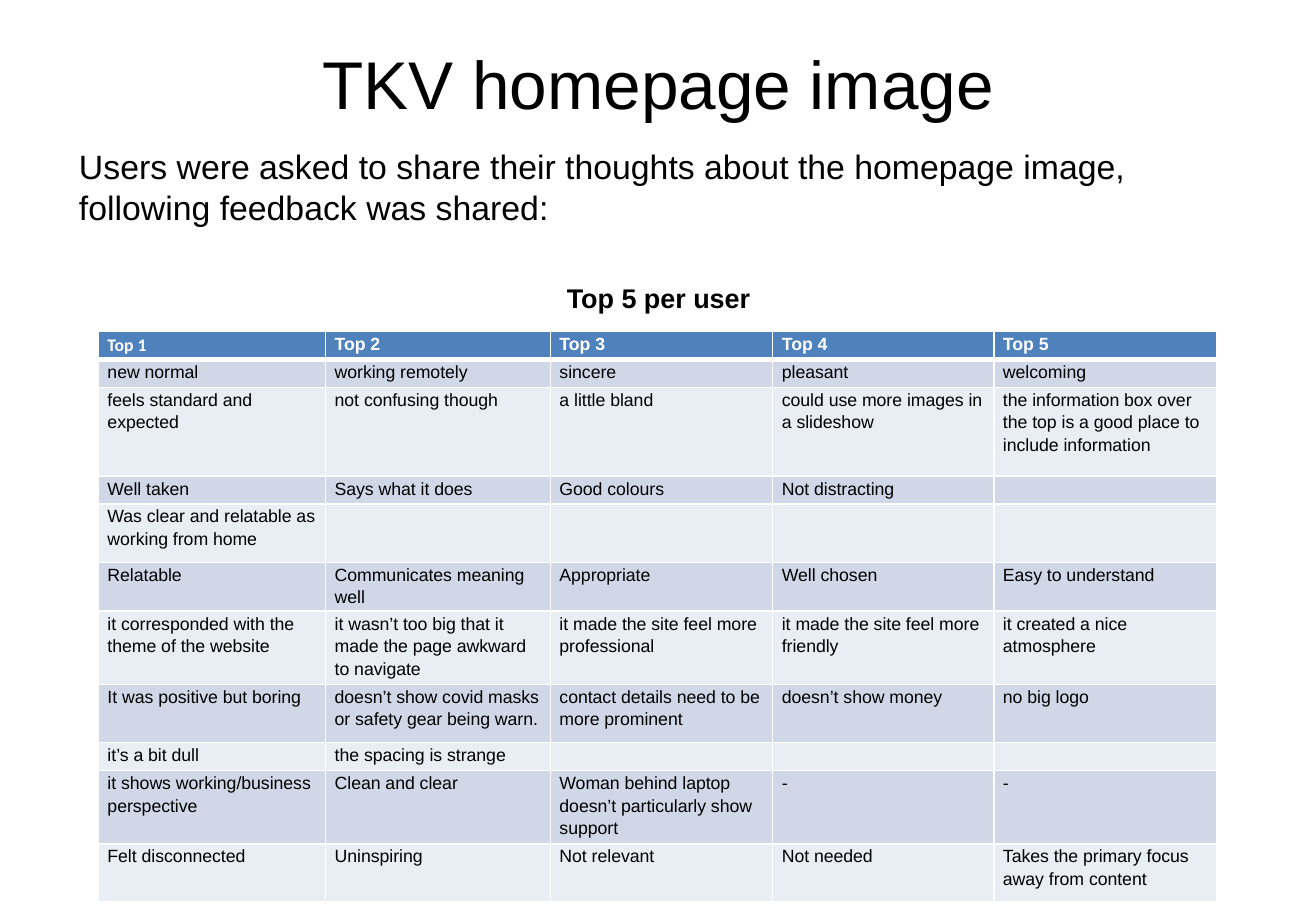
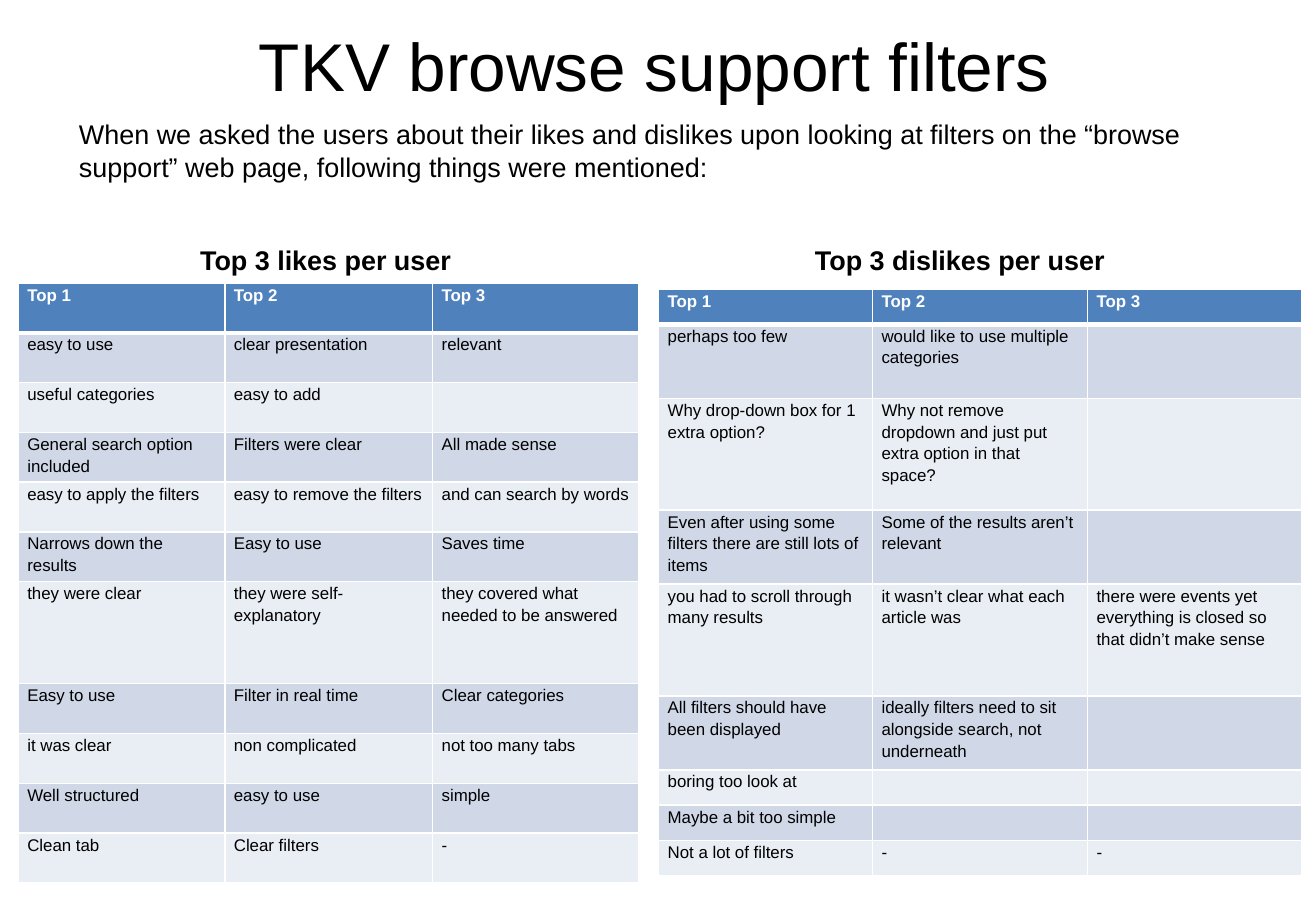
"""Build two slides of user feedback on a homepage image and support filters."""
from lxml.etree import SubElement
from pptx import Presentation
from pptx.dml.color import RGBColor
from pptx.enum.text import MSO_ANCHOR as Anchor, MSO_AUTO_SIZE as AutoSize, PP_ALIGN as Align
from pptx.oxml.ns import qn
from pptx.util import Inches, Pt

BLACK, WHITE, HEADER_BLUE = "000000", "FFFFFF", "4F81BD"
BANDS = ["E9EDF4", "D0D8E8"]
HEADING_WIDTH = 4

FEEDBACK = [
    ["Top 1", "Top 2", "Top 3", "Top 4", "Top 5"],
    ["new normal", "working remotely", "sincere", "pleasant", "welcoming"],
    ["feels standard and expected", "not confusing though", "a little bland",
     "could use more images in a slideshow",
     "the information box over the top is a good place to include information"],
    ["Well taken", "Says what it does", "Good colours", "Not distracting", ""],
    ["Was clear and relatable as working from home", "", "", "", ""],
    ["Relatable", "Communicates meaning well", "Appropriate", "Well chosen",
     "Easy to understand"],
    ["it corresponded with the theme of the website",
     "it wasn’t too big that it made the page awkward to navigate",
     "it made the site feel more professional", "it made the site feel more friendly",
     "it created a nice atmosphere"],
    ["It was positive but boring", "doesn’t show covid masks or safety gear being warn.",
     "contact details need to be more prominent", "doesn’t show money", "no big logo"],
    ["it’s a bit dull", "the spacing is strange", "", "", ""],
    ["it shows working/business perspective", "Clean and clear",
     "Woman behind laptop doesn’t particularly show support", "-", "-"],
    ["Felt disconnected", "Uninspiring", "Not relevant", "Not needed",
     "Takes the primary focus away from content"],
]
LIKES = [
    ["Top 1", "Top 2", "Top 3"],
    ["easy to use", "clear presentation", "relevant"],
    ["useful categories", "easy to add", ""],
    ["General search option included", "Filters were clear", "All made sense"],
    ["easy to apply the filters", "easy to remove the filters", "and can search by words"],
    ["Narrows down the results", "Easy to use", "Saves time"],
    ["they were clear", "they were self-explanatory",
     "they covered what needed to be answered"],
    ["Easy to use", "Filter in real time", "Clear categories"],
    ["it was clear", "non complicated", "not too many tabs"],
    ["Well structured", "easy to use", "simple"],
    ["Clean tab", "Clear filters", "-"],
]
DISLIKES = [
    ["Top 1", "Top 2", "Top 3"],
    ["perhaps too few", "would like to use multiple categories", ""],
    ["Why drop-down box for 1 extra option?",
     "Why not remove dropdown and just put extra option in that space?", ""],
    ["Even after using some filters there are still lots of items",
     "Some of the results aren’t relevant", ""],
    ["you had to scroll through many results", "it wasn’t clear what each article was",
     "there were events yet everything is closed so that didn’t make sense"],
    ["All filters should have been displayed",
     "ideally filters need to sit alongside search, not underneath", ""],
    ["boring too look at", "", ""],
    ["Maybe a bit too simple", "", ""],
    ["Not a lot of filters", "-", "-"],
]

SLIDES = [
    dict(title="TKV homepage image", title_at=(0.54, 0.3), body_top=1.15,
         intro="Users were asked to share their thoughts about the homepage image, "
               "following feedback was shared:",
         intro_size=20, heading_top=2.27,
         tables=[dict(heading="Top 5 per user", heading_center=5.42, at=(0.81, 2.73),
                      size=10.5, cells=FEEDBACK, first_font="Calibri",
                      columns=[1.87, 1.85, 1.83, 1.82, 1.83],
                      rows=[0.23, 0.23, 0.73, 0.23, 0.48, 0.23,
                            0.48, 0.48, 0.23, 0.48, 0.48])]),
    dict(title="TKV browse support filters", title_at=(0.51, 0.15), body_top=0.92,
         intro="When we asked the users about their likes and dislikes upon looking at "
               "filters on the “browse support” web page, following things were mentioned:",
         intro_size=16, heading_top=1.96,
         tables=[dict(heading="Top 3 likes per user", heading_center=2.68, at=(0.15, 2.33),
                      size=10, cells=LIKES, first_font="Arial",
                      columns=[1.7, 1.71, 1.7], rows=[0.41] * 6 + [0.84] + [0.41] * 4),
                 dict(heading="Top 3 dislikes per user", heading_center=7.9, at=(5.42, 2.38),
                      size=10, cells=DISLIKES, first_font="Arial",
                      columns=[1.76, 1.77, 1.76],
                      rows=[0.29, 0.61, 0.92, 0.61, 0.92, 0.61] + [0.29] * 3)]),
]


def color(value):
    return RGBColor.from_string(value)


def write(paragraph, text, size, font="Arial", fill=BLACK, bold=False, align=Align.LEFT,
          before=0, line=1.0):
    paragraph.alignment = align
    paragraph.space_before = Pt(before)
    paragraph.line_spacing = line
    if text:
        run = paragraph.add_run()
        run.text = text
        run.font.size, run.font.name, run.font.bold = Pt(size), font, bold
        run.font.color.rgb = color(fill)
    else:
        SubElement(paragraph._p, qn("a:endParaRPr"), sz=str(int(size * 100)))


presentation = Presentation()
presentation.slide_width, presentation.slide_height = Inches(10.83), Inches(7.5)

for page in SLIDES:
    slide = presentation.slides.add_slide(presentation.slide_layouts[1])
    title, body = slide.shapes.title, slide.placeholders[1]
    title.left, title.top = [Inches(value) for value in page["title_at"]]
    title.width, title.height = Inches(9.75), Inches(1.25)
    body.left, body.top = Inches(0.54), Inches(page["body_top"])
    body.width, body.height = Inches(9.75), Inches(7.2 - page["body_top"])
    for shape in (title, body):
        shape.text_frame.auto_size = AutoSize.NONE
        shape.text_frame.vertical_anchor = Anchor.TOP
        shape.text_frame.word_wrap = True
    write(title.text_frame.paragraphs[0], page["title"], 40, align=Align.CENTER)

    intro = body.text_frame.paragraphs[0]
    write(intro, page["intro"], page["intro_size"], before=2)
    properties = intro._p.get_or_add_pPr()
    properties.set("marL", str(Inches(0.01)))
    properties.set("indent", "0")
    SubElement(properties, qn("a:buNone"))

    for grid in page["tables"]:
        heading = slide.shapes.add_textbox(
            Inches(grid["heading_center"] - HEADING_WIDTH / 2), Inches(page["heading_top"]),
            Inches(HEADING_WIDTH), Inches(0.36))
        heading.text_frame.word_wrap = True
        write(heading.text_frame.paragraphs[0], grid["heading"], 16, bold=True,
              align=Align.CENTER)

        left, top = grid["at"]
        rows, columns = grid["rows"], grid["columns"]
        table = slide.shapes.add_table(
            len(rows), len(columns), Inches(left), Inches(top),
            Inches(sum(columns)), Inches(sum(rows))).table
        table.horz_banding = False
        for column, width in zip(table.columns, columns):
            column.width = Inches(width)
        for row_index, (row, height) in enumerate(zip(table.rows, rows)):
            row.height = Inches(height)
            is_header = row_index == 0
            for column_index, cell in enumerate(row.cells):
                cell.margin_left = cell.margin_right = Pt(5.4)
                cell.margin_top = cell.margin_bottom = 0
                cell.vertical_anchor = Anchor.TOP
                write(cell.text_frame.paragraphs[0], grid["cells"][row_index][column_index],
                      grid["size"], line=1.15, bold=is_header,
                      fill=WHITE if is_header else BLACK,
                      font=grid["first_font"] if is_header and column_index == 0 else "Arial")
                thick_edge = {0: "lnB", 1: "lnT"}.get(row_index)
                for edge in ("lnL", "lnR", "lnT", "lnB"):
                    border = SubElement(cell._tc.get_or_add_tcPr(), qn(f"a:{edge}"),
                                        w=str(Pt(3 if edge == thick_edge else 1)))
                    SubElement(SubElement(border, qn("a:solidFill")), qn("a:srgbClr"), val=WHITE)
                cell.fill.solid()
                cell.fill.fore_color.rgb = color(HEADER_BLUE if is_header else BANDS[row_index % 2])

presentation.save("out.pptx")
